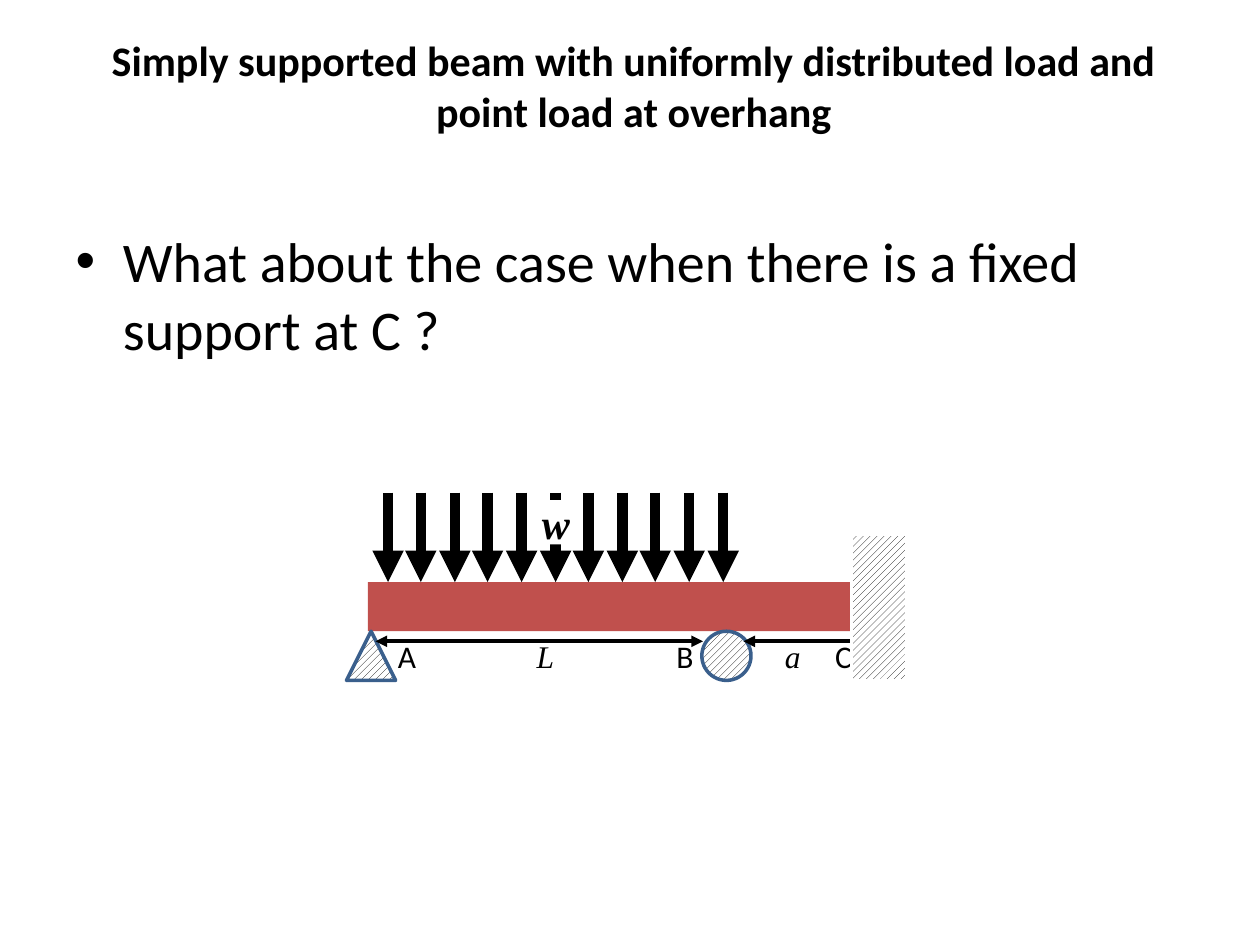
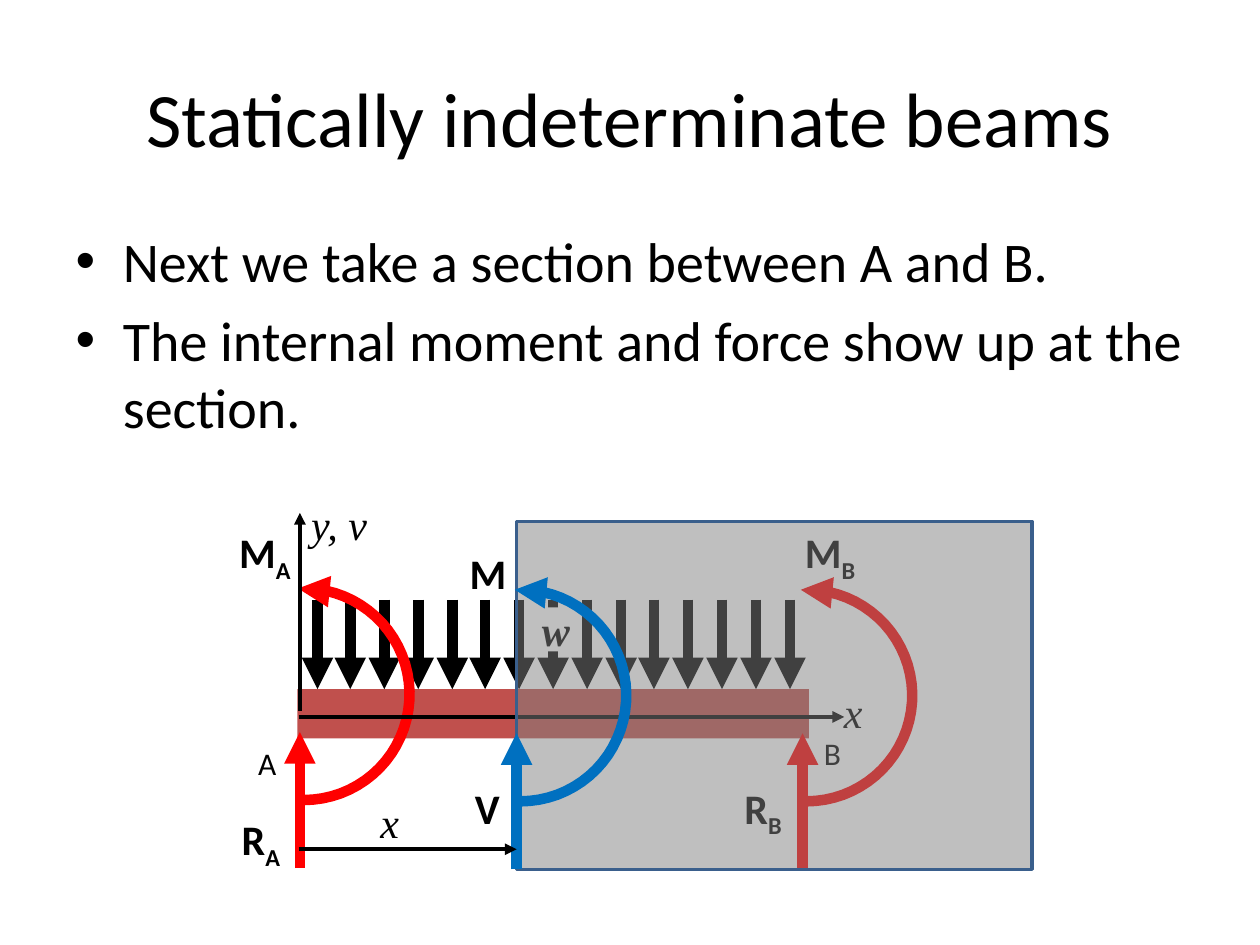
import math

from lxml import etree
from pptx import Presentation
from pptx.dml.color import RGBColor
from pptx.enum.dml import MSO_PATTERN
from pptx.enum.shapes import MSO_CONNECTOR, MSO_SHAPE
from pptx.enum.text import MSO_ANCHOR
from pptx.oxml.ns import qn
from pptx.util import Pt

PX = 9144  # 100 px to the inch
RECT = MSO_SHAPE.RECTANGLE
ROUND = MSO_SHAPE.OVAL
WEDGE = MSO_SHAPE.ISOSCELES_TRIANGLE
STRAIGHT = MSO_CONNECTOR.STRAIGHT
HATCH = MSO_PATTERN.WIDE_UPWARD_DIAGONAL
MIDDLE = MSO_ANCHOR.MIDDLE

SANS, SERIF = "Calibri", "Times New Roman"
COLOURS = {
    "ink": "000000",
    "paper": "FFFFFF",
    "beam": "C0504D",
    "edge": "3A5F8C",
    "force": "FF0000",
    "inner": "0070C0",
    "veil": "808080",
}
TOP = 0  # connection site on a beam's upper side


def px(*values):
    return [round(v * PX) for v in values]


def rgb(name):
    return RGBColor.from_string(COLOURS[name])


def style(font, size, face=SANS, bold=False, italic=False):
    font.size, font.name = Pt(size), face
    font.bold, font.italic = bold, italic
    font.color.rgb = rgb("ink")


def ink(shape, colour, width, head=False, tail=False):
    """Set the line of a shape and its arrowheads."""
    shape.line.color.rgb = rgb(colour)
    shape.line.width = Pt(width)
    ln = shape._element.spPr.find(qn("a:ln"))
    for tag, wanted in (("a:headEnd", head), ("a:tailEnd", tail)):
        if wanted:
            etree.SubElement(ln, qn(tag), type="triangle")


def add_page(deck, title, points, box, size, bold=False):
    slide = deck.slides.add_slide(deck.slide_layouts[1])
    head, body = slide.placeholders
    head.left, head.top, head.width, head.height = px(*box)
    head.text_frame.text = title
    head.text_frame.vertical_anchor = MIDDLE
    style(head.text_frame.paragraphs[0].runs[0].font, size, bold=bold)
    body.left, body.top, body.width, body.height = px(50, 175, 900, 495)
    body.text_frame.text = "\n".join(points)
    for par in body.text_frame.paragraphs:
        style(par.runs[0].font, 32)
    body.text_frame.paragraphs[0].space_before = Pt(0)
    return slide


def add_block(slide, kind, box, fill=None, edge=None):
    """Add a preset shape; without a fill colour it is hatched."""
    shape = slide.shapes.add_shape(kind, *px(*box))
    shape.shadow.inherit = False
    if fill:
        shape.fill.solid()
        shape.fill.fore_color.rgb = rgb(fill)
    else:
        shape.fill.patterned()
        shape.fill.pattern = HATCH
        shape.fill.fore_color.rgb = rgb("ink")
        shape.fill.back_color.rgb = rgb("paper")
    if edge:
        ink(shape, edge, 2)
    else:
        shape.line.fill.background()
    return shape


def add_arrow(slide, start, end, colour="ink", width=2.25, head=False):
    arrow = slide.shapes.add_connector(STRAIGHT, *px(*start, *end))
    ink(arrow, colour, width, head, tail=True)
    etree.SubElement(arrow._element.spPr, qn("a:effectLst"))
    return arrow


def add_label(slide, text, left, top, size=18, sub="", width=63, **look):
    frame = slide.shapes.add_textbox(*px(left, top, width, 40)).text_frame
    frame.word_wrap = True
    frame.margin_right = 0
    par = frame.paragraphs[0]
    par.text = text
    style(par.runs[0].font, size, **look)
    if sub:
        run = par.add_run()
        run.text = sub
        style(run.font, size, **look)
        run.font._element.set("baseline", "-25000")


def add_load(slide, beam, top, first, last, count):
    """Spread equal arrows over a beam and mark them w."""
    foot = beam.top // PX
    centre = (beam.left + beam.width // 2) // PX
    for i in range(count):
        x = first + (last - first) * i // (count - 1)
        arrow = add_arrow(slide, (x, top), (x, foot), width=6)
        if x == centre:
            arrow.end_connect(beam, TOP)
    mark = add_block(slide, RECT, (422, top + 6, 35, 35), "paper")
    frame = mark.text_frame
    frame.margin_top = frame.margin_right = frame.margin_bottom = 0
    frame.margin_left = 8 * PX
    frame.text = "w"
    style(frame.paragraphs[0].runs[0].font, 24, SERIF, True, True)


def add_end(slide, x, foot, colour):
    """Draw the upward force and the turning moment at a beam end."""
    add_arrow(slide, (x, foot), (x, foot - 108), colour, 6)
    radius, steps = 84, 36
    spots = []
    for i in range(steps + 1):
        turn = math.radians(-93 + 183 * i / steps)
        spots.append(px(x + 3 + radius * math.cos(turn),
                        foot - 138 + radius * math.sin(turn)))
    pen = slide.shapes.build_freeform(*spots[0])
    pen.add_line_segments(spots[1:], close=False)
    curve = pen.convert_to_shape()
    curve.shadow.inherit = False
    curve.fill.background()
    ink(curve, colour, 6, head=True)


def draw_overhang(deck):
    slide = add_page(
        deck,
        "Simply supported beam with uniformly distributed load and "
        "point load at overhang",
        ["What about the case when there is a fixed support at C ?"],
        (50, 30, 906, 75), 24, True)
    beam = add_block(slide, RECT, (292, 462, 394, 39), "beam")
    add_load(slide, beam, 391, 308, 574, 11)
    add_block(slide, WEDGE, (275, 501, 39, 39), edge="edge")
    add_block(slide, ROUND, (557, 501, 39, 39), edge="edge")
    for start, end in ((298, 558), (590, 688)):
        add_arrow(slide, (start, 509), (end, 509), head=True)
    for text, left in (("A", 306), ("B", 527), ("C", 653)):
        add_label(slide, text, left, 501, width=39)
    for text, left in (("L", 416), ("a", 613)):
        add_label(slide, text, left, 501, width=39, face=SERIF, italic=True)
    add_block(slide, RECT, (676, 424, 44, 116), edge="paper")


def draw_section(deck):
    slide = add_page(
        deck, "Statically indeterminate beams",
        ["Next we take a section between A and B.",
         "The internal moment and force show up at the section."],
        (50, 30, 900, 125), 44)
    axis = {"size": 24, "face": SERIF, "italic": True}
    force = {"size": 24, "bold": True}
    add_label(slide, "x", 660, 540, **axis)
    beam = add_block(slide, RECT, (236, 547, 406, 39), "beam")
    add_label(slide, "A", 195, 586)
    add_label(slide, "B", 644, 578)
    add_load(slide, beam, 476, 252, 627, 15)
    add_end(slide, 238, 689, "force")
    add_end(slide, 637, 690, "force")
    for text, sub, left, top in (("R", "A", 182, 641), ("M", "A", 180, 413),
                                 ("R", "B", 581, 616), ("M", "B", 629, 413)):
        add_label(slide, text, left, top, sub=sub, **force)
    add_arrow(slide, (238, 564), (238, 407))
    add_arrow(slide, (237, 569), (670, 569))
    add_label(slide, "y, v", 237, 391, width=79, **axis)

    veil = add_block(slide, RECT, (410, 414, 409, 276), "veil", "edge")
    tint = veil._element.spPr.find(qn("a:solidFill"))[0]
    etree.SubElement(tint, qn("a:alpha"), val="50000")
    add_end(slide, 410, 690, "inner")
    add_label(slide, "V", 367, 616, **force)
    add_label(slide, "M", 363, 430, **force)
    add_arrow(slide, (237, 674), (410, 674))
    add_label(slide, "x", 292, 627, **axis)


def main():
    deck = Presentation()
    deck.slide_width, deck.slide_height = px(1000, 750)
    draw_overhang(deck)
    draw_section(deck)
    deck.save("out.pptx")


if __name__ == "__main__":
    main()
